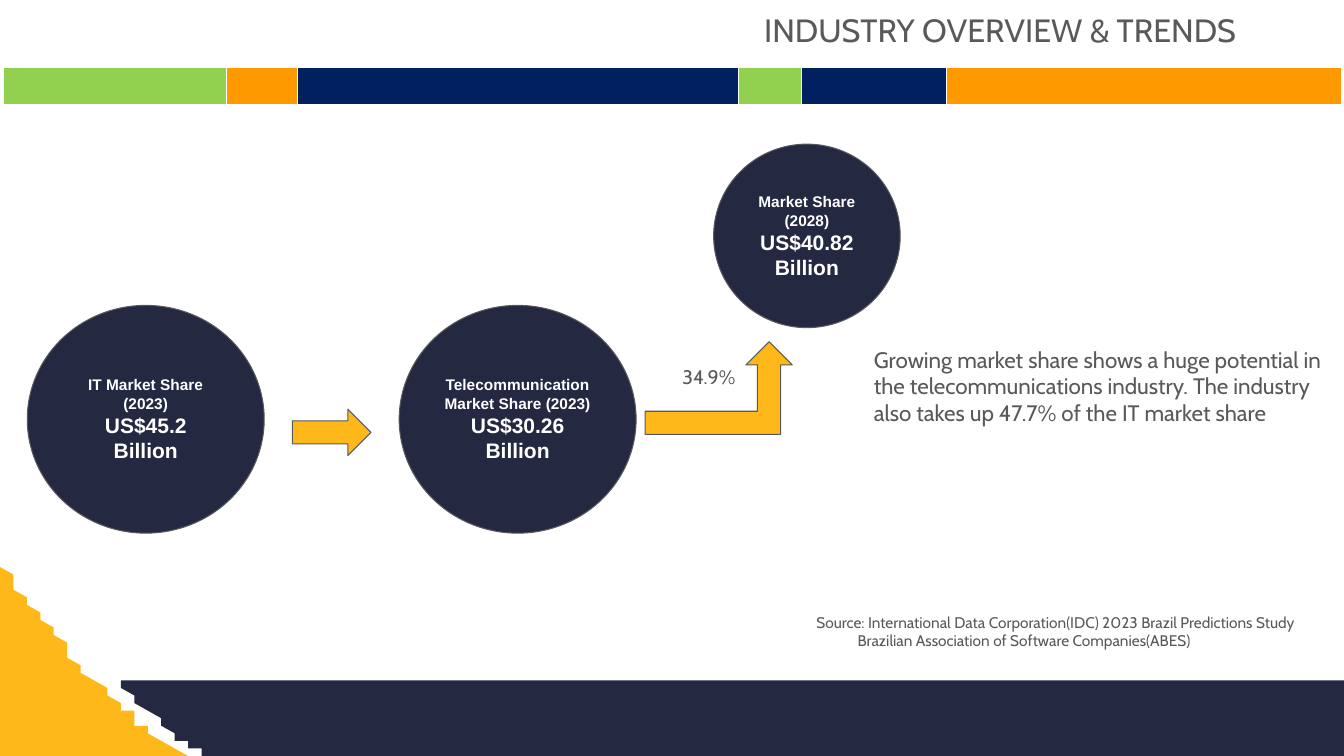
from lxml import etree
from pptx import Presentation
from pptx import util as u
from pptx.dml.color import RGBColor
from pptx.enum import shapes, text
from pptx.oxml import ns

NAVY = RGBColor(0x24, 0x28, 0x41)
GOLD = RGBColor(0xFF, 0xB8, 0x19)
GREY = RGBColor(0x58, 0x59, 0x5B)
WHITE = RGBColor(0xFF, 0xFF, 0xFF)
LIME = RGBColor(0x92, 0xD0, 0x50)
ORANGE = RGBColor(0xFF, 0x99, 0x00)
DEEP_BLUE = RGBColor(0x00, 0x20, 0x60)

TITLE_ONLY = 5
GRID = 100  # columns and rows across the slide


def bezier(start, first, second, end, steps=16):
    """Points along a cubic curve, both ends included."""
    points = []
    for step in range(steps + 1):
        t = step / steps
        weights = ((1 - t) ** 3, 3 * t * (1 - t) ** 2, 3 * t * t * (1 - t), t ** 3)
        controls = (start, first, second, end)
        points.append(tuple(sum(w * c[axis] for w, c in zip(weights, controls))
                            for axis in (0, 1)))
    return points


class OverviewSlide:
    """Places styled elements on one slide; lengths are grid columns and rows."""

    body_font = "Cabin"
    circle_font = "Arial"

    def __init__(self, deck):
        self.column = deck.slide_width / GRID
        self.row = deck.slide_height / GRID
        self.slide = deck.slides.add_slide(deck.slide_layouts[TITLE_ONLY])
        self.shapes = self.slide.shapes

    def box(self, left, top, width, height):
        return (u.Emu(round(left * self.column)), u.Emu(round(top * self.row)),
                u.Emu(round(width * self.column)), u.Emu(round(height * self.row)))

    def set_lines(self, shape, lines, font, sizes, color, align, anchor, bold=False):
        frame = shape.text_frame
        frame.text = "\n".join(lines)
        frame.word_wrap = True
        frame.auto_size = text.MSO_AUTO_SIZE.NONE
        frame.vertical_anchor = anchor
        frame.margin_left = frame.margin_right = u.Inches(0.1)
        frame.margin_top = frame.margin_bottom = u.Inches(0.1)
        for paragraph, size in zip(frame.paragraphs, sizes):
            paragraph.alignment = align
            for run in paragraph.runs:
                run.font.name = font
                run.font.size = u.Pt(size)
                run.font.bold = bold
                run.font.color.rgb = color

    def set_body(self, shape, lines, size):
        self.set_lines(shape, lines, self.body_font, [size] * len(lines), GREY,
                       text.PP_ALIGN.LEFT, text.MSO_ANCHOR.TOP)

    def title(self, wording, place, size):
        heading = self.shapes.title
        heading.left, heading.top, heading.width, heading.height = self.box(*place)
        self.set_body(heading, [wording], size)

    def note(self, lines, place, size):
        note = self.shapes.add_textbox(*self.box(*place))
        self.set_body(note, lines, size)
        return note

    def outlined(self, kind, place, fill):
        shape = self.shapes.add_shape(kind, *self.box(*place))
        shape.shadow.inherit = False
        shape.fill.solid()
        shape.fill.fore_color.rgb = fill
        shape.line.color.rgb = GREY
        shape.line.width = u.Pt(0.75)
        return shape

    def circle(self, label, amount, place):
        circle = self.outlined(shapes.MSO_SHAPE.OVAL, place, NAVY)
        self.set_lines(circle, [label, amount], self.circle_font, [11, 15], WHITE,
                       text.PP_ALIGN.CENTER, text.MSO_ANCHOR.MIDDLE, bold=True)

    def arrow(self, kind, place):
        self.outlined(kind, place, GOLD)

    def swoosh(self, points, fill):
        builder = self.shapes.build_freeform(*points[0], scale=(self.column, self.row))
        builder.add_line_segments(points[1:], close=True)
        swoosh = builder.convert_to_shape()
        swoosh.shadow.inherit = False
        swoosh.fill.solid()
        swoosh.fill.fore_color.rgb = fill
        swoosh.line.fill.background()

    def color_band(self, left, top, height, segments):
        """One-row table of coloured cells, given as (width, colour) pairs."""
        total = sum(width for width, _ in segments)
        frame = self.shapes.add_table(1, len(segments), *self.box(left, top, total, height))
        band = frame.table
        band.first_row = band.horz_banding = False
        for index, (width, color) in enumerate(segments):
            band.columns[index].width = u.Emu(round(width * self.column))
            cell = band.cell(0, index)
            cell.margin_top = cell.margin_bottom = 0
            properties = cell._tc.get_or_add_tcPr()
            for side, points in (("lnL", 1), ("lnR", 1), ("lnT", 1), ("lnB", 3)):
                border = etree.SubElement(properties, ns.qn(f"a:{side}"), w=str(u.Pt(points)))
                paint = etree.SubElement(border, ns.qn("a:solidFill"))
                etree.SubElement(paint, ns.qn("a:srgbClr"), val=str(WHITE))
            cell.fill.solid()
            cell.fill.fore_color.rgb = color


def main():
    deck = Presentation()
    deck.slide_width, deck.slide_height = u.Inches(13.33), u.Inches(7.5)
    page = OverviewSlide(deck)

    navy_edge = bezier((8.55, 89.73), (10.5, 93.33), (12.68, 96.8), (15, 100))
    page.swoosh(navy_edge + [(100, 100), (100, 89.73)], NAVY)
    gold_edge = (bezier((0, 74.53), (1.88, 79.33), (4.2, 84.67), (6.98, 89.73))
                 + bezier((6.98, 89.73), (8.93, 93.33), (11.1, 96.8), (13.5, 100))[1:])
    page.swoosh(gold_edge + [(0, 100)], GOLD)

    page.color_band(0.23, 8.93, 5.07, [
        (16.65, LIME), (5.25, ORANGE), (32.85, DEEP_BLUE),
        (4.65, LIME), (10.8, DEEP_BLUE), (29.4, ORANGE)])
    page.title("INDUSTRY OVERVIEW & TRENDS", (56.1, 0, 41.5, 6.13), 23)

    large = (17.63, 30.13)
    page.circle("IT Market Share (2023)", "US$45.2 Billion", (2.03, 40.4, *large))
    page.circle("Telecommunication Market Share (2023)", "US$30.26 Billion",
                (29.7, 40.4, *large))
    page.circle("Market Share (2028)", "US$40.82 Billion", (53.1, 19.07, 13.88, 24.27))
    page.arrow(shapes.MSO_SHAPE.RIGHT_ARROW, (21.75, 54.13, 5.85, 6.13))
    page.arrow(shapes.MSO_SHAPE.BENT_UP_ARROW, (48, 45.2, 10.95, 12.27))

    page.note(["34.9%"], (50.03, 46.93, 6.9, 6.13), 14)
    page.note(["Growing market share shows a huge potential in the telecommunications "
               "industry. The industry also takes up 47.7% of the IT market share"],
              (64.28, 44.4, 35.55, 19.47), 16)
    sources = page.note(
        ["Source: International Data Corporation(IDC) 2023 Brazil Predictions Study",
         "Brazilian Association of Software Companies(ABES)"],
        (60, 79.73, 39.3, 7.2), 11)
    second_source = sources.text_frame.paragraphs[1]
    second_source._p.get_or_add_pPr().set("marL", str(u.Inches(0.41)))

    deck.save("out.pptx")


if __name__ == "__main__":
    main()
